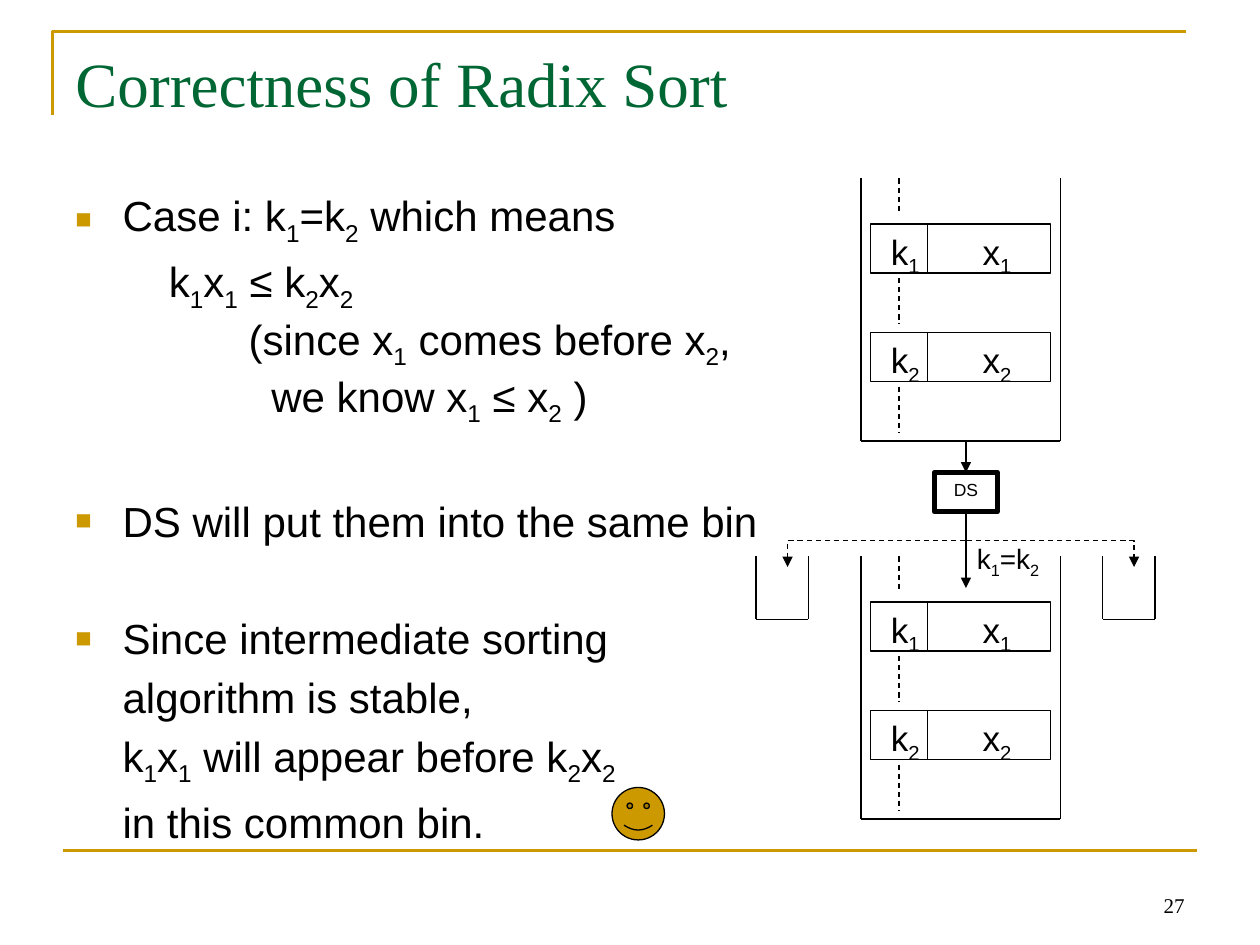
from typing import NamedTuple

from lxml.etree import SubElement
from pptx import Presentation
from pptx.dml.color import RGBColor
from pptx.enum.dml import MSO_LINE
from pptx.enum.shapes import MSO_CONNECTOR, MSO_SHAPE
from pptx.enum.text import MSO_ANCHOR, PP_ALIGN
from pptx.oxml.ns import qn
from pptx.util import Pt

BLACK, GOLD, GREEN = "000000", "CC9900", "006633"
SERIF, SANS = "Times New Roman", "Arial"


class Point(NamedTuple):
    x: float
    y: float


class Box(NamedTuple):
    left: float
    top: float
    width: float
    height: float

    def in_points(self) -> list:
        return [Pt(length) for length in self]


class BodyLine(NamedTuple):
    text: str
    margin: float = 27
    before: float = 4.8
    bullet: bool = False


BODY = [
    BodyLine("Case i: k_1=k_2 which means", before=0, bullet=True),
    BodyLine("k_1x_1 ≤ k_2x_2", margin=53.5),
    BodyLine("(since x_1 comes before x_2,", margin=99, before=0),
    BodyLine("we know x_1 ≤ x_2 )", margin=112, before=0),
    BodyLine("DS will put them into the same bin", before=38.5, bullet=True),
    BodyLine("Since intermediate sorting", before=38.5, bullet=True),
    BodyLine("algorithm is stable,"),
    BodyLine("k_1x_1 will appear before k_2x_2"),
    BodyLine("in this common bin."),
]
STACK_TOPS = (102, 318)
RECORDS = (("1", 26), ("2", 88))
GAP_MARKS = ((0, 20), (57, 83), (119, 145))
SIDE_BIN_LEFTS = (432, 630)
DS_X = 552


def rgb(color: str) -> RGBColor:
    return RGBColor.from_string(color)


def write(paragraph, text: str, *, size: float, font: str = SANS,
          color: str = BLACK, align=PP_ALIGN.LEFT) -> None:
    """Fill a paragraph; the character after each underscore is a subscript."""
    paragraph.alignment = align
    plain, *marked = text.split("_")
    pieces = [(plain, False)]
    for part in marked:
        pieces += [(part[0], True), (part[1:], False)]
    for piece, subscript in pieces:
        if not piece:
            continue
        run = paragraph.add_run()
        run.text = piece
        run.font.size = Pt(size)
        run.font.name = font
        run.font.color.rgb = rgb(color)
        if subscript:
            run.font._element.set("baseline", "-25000")


def add_frame(shapes, box: Box, wrap: bool = True, anchor=MSO_ANCHOR.TOP):
    frame = shapes.add_textbox(*box.in_points()).text_frame
    frame.word_wrap = wrap
    frame.vertical_anchor = anchor
    return frame


def add_label(shapes, box: Box, text: str, *, wrap: bool = True,
              anchor=MSO_ANCHOR.TOP, **style) -> None:
    write(add_frame(shapes, box, wrap, anchor).paragraphs[0], text, **style)


def set_bullet(paragraph, margin: float, bullet: bool) -> None:
    properties = paragraph._p.get_or_add_pPr()
    properties.set("marL", str(Pt(margin)))
    properties.set("indent", str(Pt(-margin if bullet else 0)))
    if bullet:
        color = SubElement(properties, qn("a:buClr"))
        SubElement(color, qn("a:srgbClr"), val=GOLD)
        SubElement(properties, qn("a:buSzPct"), val="65000")
        SubElement(properties, qn("a:buFont"), typeface=SANS)
        SubElement(properties, qn("a:buChar"), char="■")
    else:
        SubElement(properties, qn("a:buNone"))


def add_body(shapes) -> None:
    frame = add_frame(shapes, Box(36, 105, 648, 356))
    for index, line in enumerate(BODY):
        paragraph = frame.add_paragraph() if index else frame.paragraphs[0]
        set_bullet(paragraph, line.margin, line.bullet)
        paragraph.space_before = Pt(line.before)
        write(paragraph, line.text, size=24)


def add_outline(shapes, kind, box: Box, *, fill: str = "", weight: float = 0.75):
    outline = shapes.add_shape(kind, *box.in_points())
    outline.shadow.inherit = False
    if fill:
        outline.fill.solid()
        outline.fill.fore_color.rgb = rgb(fill)
    else:
        outline.fill.background()
    outline.line.color.rgb = rgb(BLACK)
    outline.line.width = Pt(weight)
    return outline


def add_line(shapes, start: Point, end: Point, *, kind=MSO_CONNECTOR.STRAIGHT,
             color: str = BLACK, weight: float = 0.75, dashed: bool = False,
             arrow: bool = False):
    line = shapes.add_connector(kind, *(Pt(v) for v in (*start, *end)))
    line.line.color.rgb = rgb(color)
    line.line.width = Pt(weight)
    if dashed:
        line.line.dash_style = MSO_LINE.DASH
    if arrow:
        SubElement(line.line._get_or_add_ln(), qn("a:tailEnd"), type="triangle")
    SubElement(line._element.spPr, qn("a:effectLst"))
    return line


def add_down_elbow(shapes, start: Point, end: Point) -> None:
    """Dashed arrow that leaves downwards, turns sideways and ends downwards."""
    mid = Point((start.x + end.x) / 2, (start.y + end.y) / 2)
    half_w, half_h = (end.y - start.y) / 2, abs(end.x - start.x) / 2
    side = 1 if end.x > start.x else -1
    elbow = add_line(shapes, Point(mid.x + side * half_w, mid.y - half_h),
                     Point(mid.x - side * half_w, mid.y + half_h),
                     kind=MSO_CONNECTOR.ELBOW, dashed=True, arrow=True)
    degrees = 270 if side > 0 else 90
    elbow._element.spPr.find(qn("a:xfrm")).set("rot", str(degrees * 60000))


def add_bin(shapes, box: Box) -> None:
    right, bottom = box.left + box.width, box.top + box.height
    corners = [Point(box.left, box.top), Point(box.left, bottom),
               Point(right, bottom), Point(right, box.top)]
    for start, end in zip(corners, corners[1:]):
        add_line(shapes, start, end)


def add_record(shapes, top: float, index: str) -> None:
    cells = (("k", 497.5, 32.5, 501.5), ("x", 530, 70.5, 554))
    for letter, left, width, label_left in cells:
        add_outline(shapes, MSO_SHAPE.RECTANGLE, Box(left, top, width, 28))
        add_label(shapes, Box(label_left, top, 31.5, 31), f"{letter}_{index}",
                  wrap=False, size=20, align=PP_ALIGN.CENTER)


def add_stack(shapes, top: float) -> None:
    add_bin(shapes, Box(492, top, 114, 150))
    for index, offset in RECORDS:
        add_record(shapes, top + offset, index)
    for start, end in GAP_MARKS:
        add_line(shapes, Point(513.75, top + start), Point(513.75, top + end),
                 dashed=True)


def add_slide_frame(shapes) -> None:
    builder = shapes.build_freeform(Pt(30), Pt(66))
    builder.add_line_segments([(Pt(30), Pt(18)), (Pt(678), Pt(18))], close=False)
    corner = builder.convert_to_shape()
    corner.shadow.inherit = False
    corner.fill.background()
    corner.line.color.rgb = rgb(GOLD)
    corner.line.width = Pt(1.5)
    add_line(shapes, Point(36, 486), Point(684, 486), color=GOLD, weight=1.5)


def add_sorter(shapes) -> None:
    sorter = add_outline(shapes, MSO_SHAPE.RECTANGLE, Box(534, 270, 36, 22.5),
                         weight=3)
    sorter.text_frame.vertical_anchor = MSO_ANCHOR.TOP
    write(sorter.text_frame.paragraphs[0], "DS", size=10, align=PP_ALIGN.CENTER)
    add_line(shapes, Point(DS_X, 252), Point(DS_X, 270), arrow=True)
    add_line(shapes, Point(DS_X, 294), Point(DS_X, 336), arrow=True)
    add_label(shapes, Box(546, 306, 60, 26.5), "k_1=k_2", size=16,
              align=PP_ALIGN.CENTER)
    for left in SIDE_BIN_LEFTS:
        add_bin(shapes, Box(left, 318, 30, 36))
        add_down_elbow(shapes, Point(DS_X, 294), Point(left + 18, 324))


def main() -> None:
    deck = Presentation()
    deck.slide_width, deck.slide_height = Pt(720), Pt(540)
    shapes = deck.slides.add_slide(deck.slide_layouts[6]).shapes
    add_slide_frame(shapes)
    add_label(shapes, Box(516, 492, 168, 36), "27", size=12, font=SERIF,
              align=PP_ALIGN.RIGHT, anchor=MSO_ANCHOR.BOTTOM)
    add_label(shapes, Box(36, 22, 648, 90), "Correctness of Radix Sort",
              size=36, font=SERIF, color=GREEN)
    add_body(shapes)
    for top in STACK_TOPS:
        add_stack(shapes, top)
    add_sorter(shapes)
    smiley = add_outline(shapes, MSO_SHAPE.SMILEY_FACE, Box(349.75, 450, 30, 30),
                         fill=GOLD)
    smiley.adjustments[0] = 0.05
    deck.save("out.pptx")


if __name__ == "__main__":
    main()
